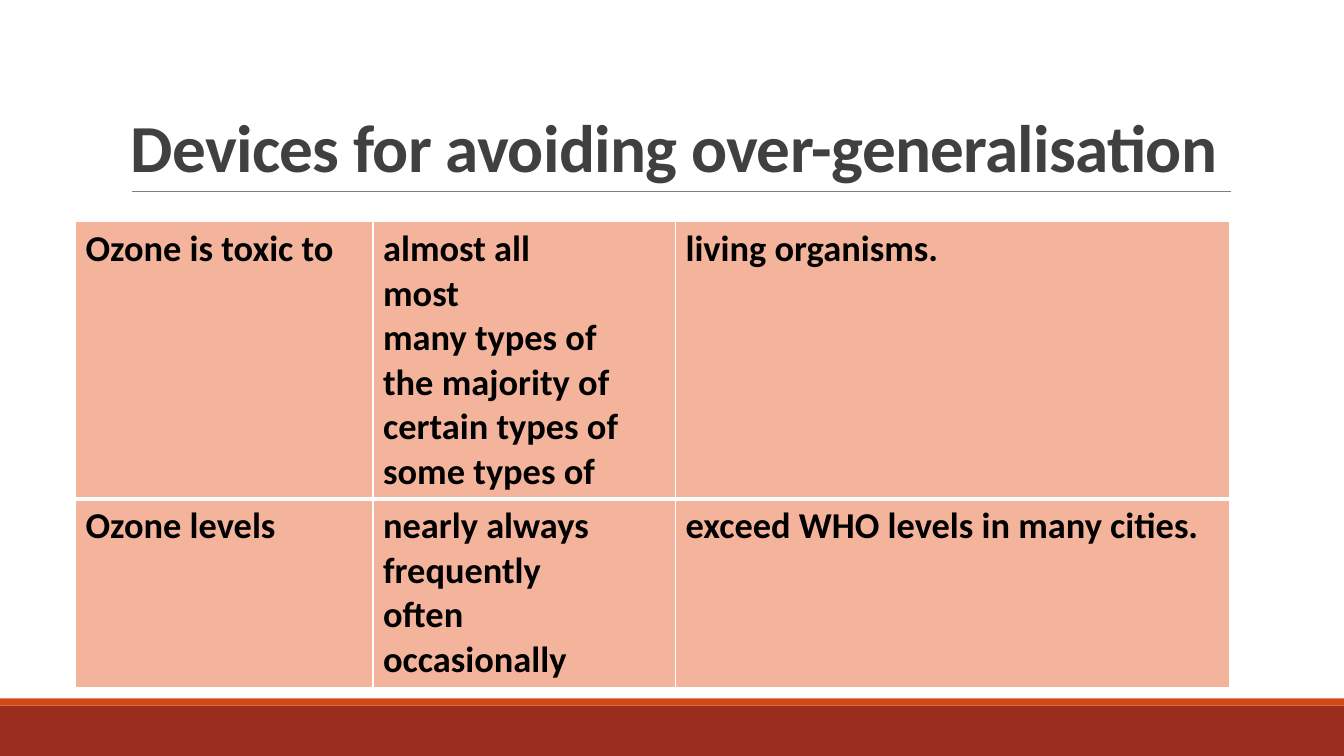
from dataclasses import dataclass

from lxml import etree
from pptx import Presentation
from pptx.dml.color import RGBColor
from pptx.enum import shapes, text
from pptx.oxml.ns import qn
from pptx.util import Inches, Pt

COLORS = {
    "footer": "9B2D1F",
    "accent": "D34817",
    "rule": "808080",
    "title": "404040",
    "cell": "F4B39B",
    "border": "FFFFFF",
    "text": "000000",
}
FONT = "Calibri"
COLUMN_WIDTHS = (2.95, 3, 5.5)


@dataclass(frozen=True)
class Band:
    top: float
    height: float
    color: str


@dataclass(frozen=True)
class SentenceRow:
    subject: str
    hedges: tuple[str, ...]
    ending: str
    height: float
    top_border: float
    bottom_border: float


BANDS = (Band(7, 0.5, "footer"), Band(6.93, 0.07, "accent"))
ROWS = (
    SentenceRow(
        "Ozone is toxic to",
        ("almost all", "most", "many types of", "the majority of",
         "certain types of", "some types of"),
        "living organisms.", 2.75, 1, 3,
    ),
    SentenceRow(
        "Ozone levels",
        ("nearly always", "frequently", "often", "occasionally"),
        "exceed WHO levels in many cities.", 1.87, 3, 1,
    ),
)


def rgb(name: str) -> RGBColor:
    return RGBColor.from_string(COLORS[name])


def format_text(text_frame, size: float, color: str) -> None:
    for paragraph in text_frame.paragraphs:
        for run in paragraph.runs:
            run.font.name = FONT
            run.font.size = Pt(size)
            run.font.bold = True
            run.font.color.rgb = rgb(color)


def add_band(slide, band: Band, width: int) -> None:
    shape = slide.shapes.add_shape(
        shapes.MSO_SHAPE.RECTANGLE, 0, Inches(band.top), width, Inches(band.height)
    )
    shape.shadow.inherit = False
    shape.fill.solid()
    shape.fill.fore_color.rgb = rgb(band.color)
    shape.line.fill.background()


def add_title_rule(slide) -> None:
    rule = slide.shapes.add_connector(
        shapes.MSO_CONNECTOR.STRAIGHT,
        Inches(1.31), Inches(1.9), Inches(12.21), Inches(1.9),
    )
    rule.line.color.rgb = rgb("rule")
    rule.line.width = Pt(0.5)
    etree.SubElement(rule._element.spPr, qn("a:effectLst"))


def add_title(slide) -> None:
    box = slide.shapes.add_textbox(Inches(1.2), Inches(0.31), Inches(11), Inches(1.59))
    frame = box.text_frame
    frame.word_wrap = True
    frame.vertical_anchor = text.MSO_ANCHOR.BOTTOM
    frame.text = "Devices for avoiding over-generalisation"
    paragraph = frame.paragraphs[0]
    paragraph.line_spacing = 0.85
    format_text(frame, 48, "title")
    paragraph.runs[0].font._element.set("spc", "-50")


def set_borders(cell, top: float, bottom: float) -> None:
    """Draw the four cell edges; the side edges are 1 point wide."""
    properties = cell._tc.get_or_add_tcPr()
    for side, width in {"L": 1, "R": 1, "T": top, "B": bottom}.items():
        line = etree.SubElement(properties, qn(f"a:ln{side}"), w=str(Pt(width)))
        fill = etree.SubElement(line, qn("a:solidFill"))
        etree.SubElement(fill, qn("a:srgbClr"), val=COLORS["border"])


def add_sentence_table(slide) -> None:
    table = slide.shapes.add_table(
        len(ROWS), len(COLUMN_WIDTHS), Inches(0.75), Inches(2.2),
        Inches(sum(COLUMN_WIDTHS)), Inches(sum(row.height for row in ROWS)),
    ).table
    table.first_row = False
    table.horz_banding = False
    for column, width in zip(table.columns, COLUMN_WIDTHS):
        column.width = Inches(width)
    for table_row, row in zip(table.rows, ROWS):
        table_row.height = Inches(row.height)
        contents = (row.subject, "\n".join(row.hedges), row.ending)
        for cell, content in zip(table_row.cells, contents):
            set_borders(cell, row.top_border, row.bottom_border)
            cell.fill.solid()
            cell.fill.fore_color.rgb = rgb("cell")
            cell.text_frame.text = content
            format_text(cell.text_frame, 26, "text")


def main() -> None:
    presentation = Presentation()
    presentation.slide_width = Inches(13.33)
    presentation.slide_height = Inches(7.5)
    slide = presentation.slides.add_slide(presentation.slide_layouts[6])
    for band in BANDS:
        add_band(slide, band, presentation.slide_width)
    add_title_rule(slide)
    add_title(slide)
    add_sentence_table(slide)
    presentation.save("out.pptx")


if __name__ == "__main__":
    main()
